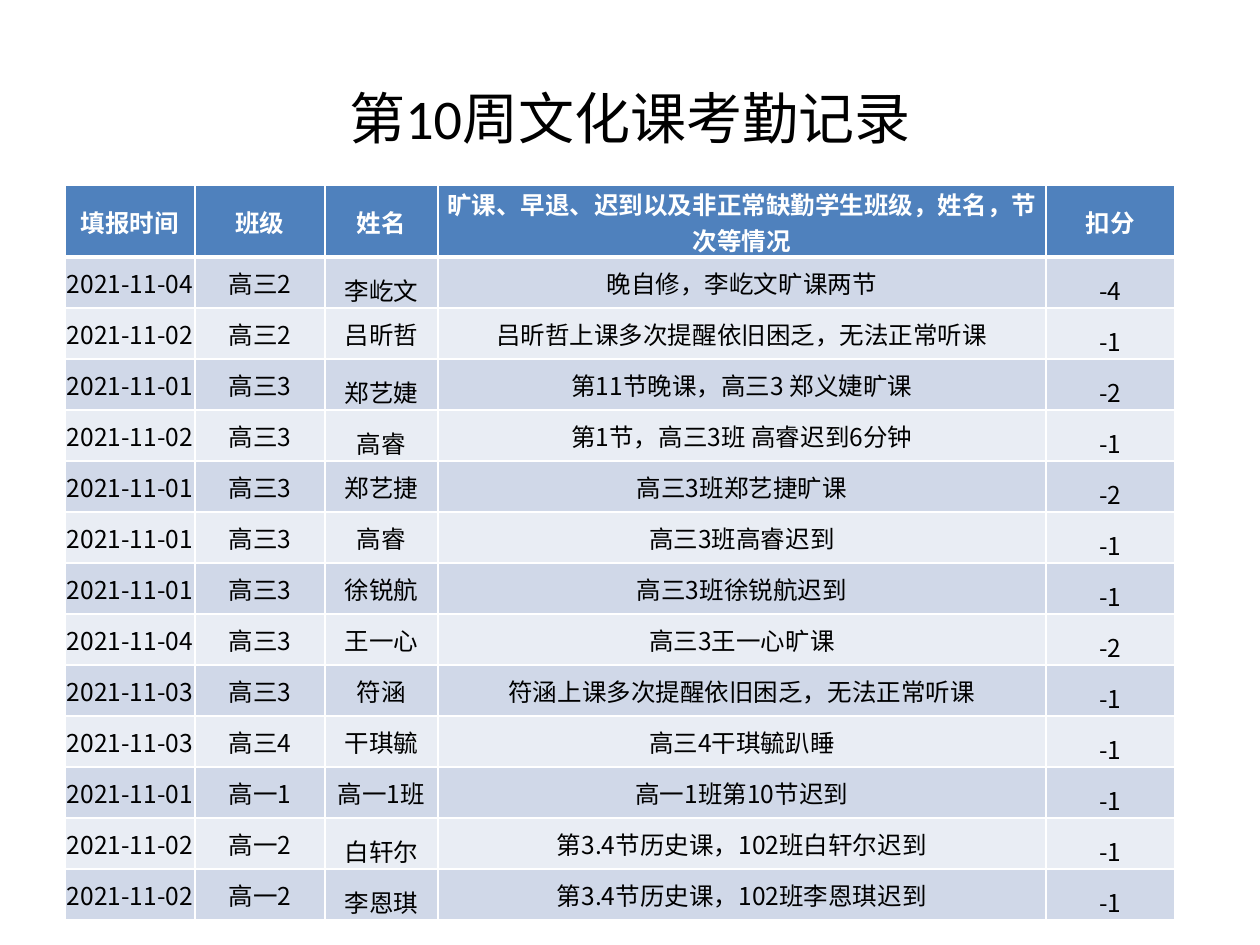
from lxml import etree
from pptx import Presentation
from pptx import util as u
from pptx.dml.color import RGBColor
from pptx.enum import text
from pptx.oxml import ns

PX = u.Inches(1) / 126
WHITE = RGBColor(0xFF, 0xFF, 0xFF)
BLACK = RGBColor(0, 0, 0)
HEADER_BLUE = RGBColor(0x4F, 0x81, 0xBD)
BANDS = (RGBColor(0xD0, 0xD8, 0xE8), RGBColor(0xE9, 0xED, 0xF4))
CJK_FONT = "Noto Sans CJK SC"
MIDDLE, BOTTOM = text.MSO_ANCHOR.MIDDLE, text.MSO_ANCHOR.BOTTOM

COLUMN_WIDTHS = (130, 130, 113, 608, 129)
HEADER_HEIGHT, ROW_HEIGHT = 72, 51
NAME_COLUMN, SCORE_COLUMN = 2, 4
LOW_NAME_ROWS = {1, 3, 4, 12, 13}

HEADERS = ("填报时间", "班级", "姓名",
           "旷课、早退、迟到以及非正常缺勤学生班级，姓名，节次等情况", "扣分")
RECORDS = (
    ("2021-11-04", "高三2", "李屹文", "晚自修，李屹文旷课两节", "-4"),
    ("2021-11-02", "高三2", "吕昕哲", "吕昕哲上课多次提醒依旧困乏，无法正常听课", "-1"),
    ("2021-11-01", "高三3", "郑艺婕", "第11节晚课，高三3 郑义婕旷课", "-2"),
    ("2021-11-02", "高三3", "高睿", "第1节，高三3班 高睿迟到6分钟", "-1"),
    ("2021-11-01", "高三3", "郑艺捷", "高三3班郑艺捷旷课", "-2"),
    ("2021-11-01", "高三3", "高睿", "高三3班高睿迟到", "-1"),
    ("2021-11-01", "高三3", "徐锐航", "高三3班徐锐航迟到", "-1"),
    ("2021-11-04", "高三3", "王一心", "高三3王一心旷课", "-2"),
    ("2021-11-03", "高三3", "符涵", "符涵上课多次提醒依旧困乏，无法正常听课", "-1"),
    ("2021-11-03", "高三4", "干琪毓", "高三4干琪毓趴睡", "-1"),
    ("2021-11-01", "高一1", "高一1班", "高一1班第10节迟到", "-1"),
    ("2021-11-02", "高一2", "白轩尔", "第3.4节历史课，102班白轩尔迟到", "-1"),
    ("2021-11-02", "高一2", "李恩琪", "第3.4节历史课，102班李恩琪迟到", "-1"),
)


def px(length):
    return u.Emu(round(length * PX))


def set_values(target, values):
    for name, value in values.items():
        setattr(target, name, value)


def write_text(frame, wording, color, **font_values):
    paragraph = frame.paragraphs[0]
    paragraph.alignment = text.PP_ALIGN.CENTER
    run = paragraph.add_run()
    run.text = wording
    set_values(run.font, font_values)
    run.font.color.rgb = color
    east_asian = etree.SubElement(run.font._element, ns.qn("a:ea"))
    east_asian.set("typeface", CJK_FONT)


def add_title(slide, wording):
    frame = slide.shapes.add_textbox(px(63), px(38), px(1134), px(158)).text_frame
    set_values(frame, {"word_wrap": True, "vertical_anchor": MIDDLE})
    write_text(frame, wording, BLACK, name="Calibri", size=u.Pt(32))


def add_borders(cell, top, bottom):
    """Draw white cell borders; top and bottom widths are in points."""
    properties = cell._tc.get_or_add_tcPr()
    for side, points in {"L": 1, "R": 1, "T": top, "B": bottom}.items():
        line = etree.SubElement(properties, ns.qn(f"a:ln{side}"), w=str(u.Pt(points)))
        fill = etree.SubElement(line, ns.qn("a:solidFill"))
        etree.SubElement(fill, ns.qn("a:srgbClr"), val=str(WHITE))


def fill_cell(cell, row, column, wording):
    is_header = row == 0
    is_low = not is_header and (
        column == SCORE_COLUMN or column == NAME_COLUMN and row in LOW_NAME_ROWS)
    set_values(cell, {
        "margin_left": px(1), "margin_right": px(1),
        "margin_top": px(1), "margin_bottom": 0,
        "vertical_anchor": BOTTOM if is_low else MIDDLE,
    })
    add_borders(cell, top=3 if row == 1 else 1, bottom=3 if is_header else 1)
    cell.fill.solid()
    cell.fill.fore_color.rgb = HEADER_BLUE if is_header else BANDS[(row - 1) % 2]
    write_text(cell.text_frame, wording, WHITE if is_header else BLACK,
               name=CJK_FONT, size=u.Pt(14), bold=is_header)


def add_attendance_table(slide):
    rows = (HEADERS, *RECORDS)
    height = HEADER_HEIGHT + ROW_HEIGHT * len(RECORDS)
    table = slide.shapes.add_table(
        len(rows), len(HEADERS), px(65), px(185),
        px(sum(COLUMN_WIDTHS)), px(height)).table
    for column, width in zip(table.columns, COLUMN_WIDTHS):
        column.width = px(width)
    for row_index, row in enumerate(rows):
        table.rows[row_index].height = px(ROW_HEIGHT if row_index else HEADER_HEIGHT)
        for column_index, wording in enumerate(row):
            fill_cell(table.cell(row_index, column_index),
                      row_index, column_index, wording)


def main():
    presentation = Presentation()
    set_values(presentation, {"slide_width": px(1260), "slide_height": px(945)})
    slide = presentation.slides.add_slide(presentation.slide_layouts[6])
    add_title(slide, "第10周文化课考勤记录")
    add_attendance_table(slide)
    presentation.save("out.pptx")


if __name__ == "__main__":
    main()
